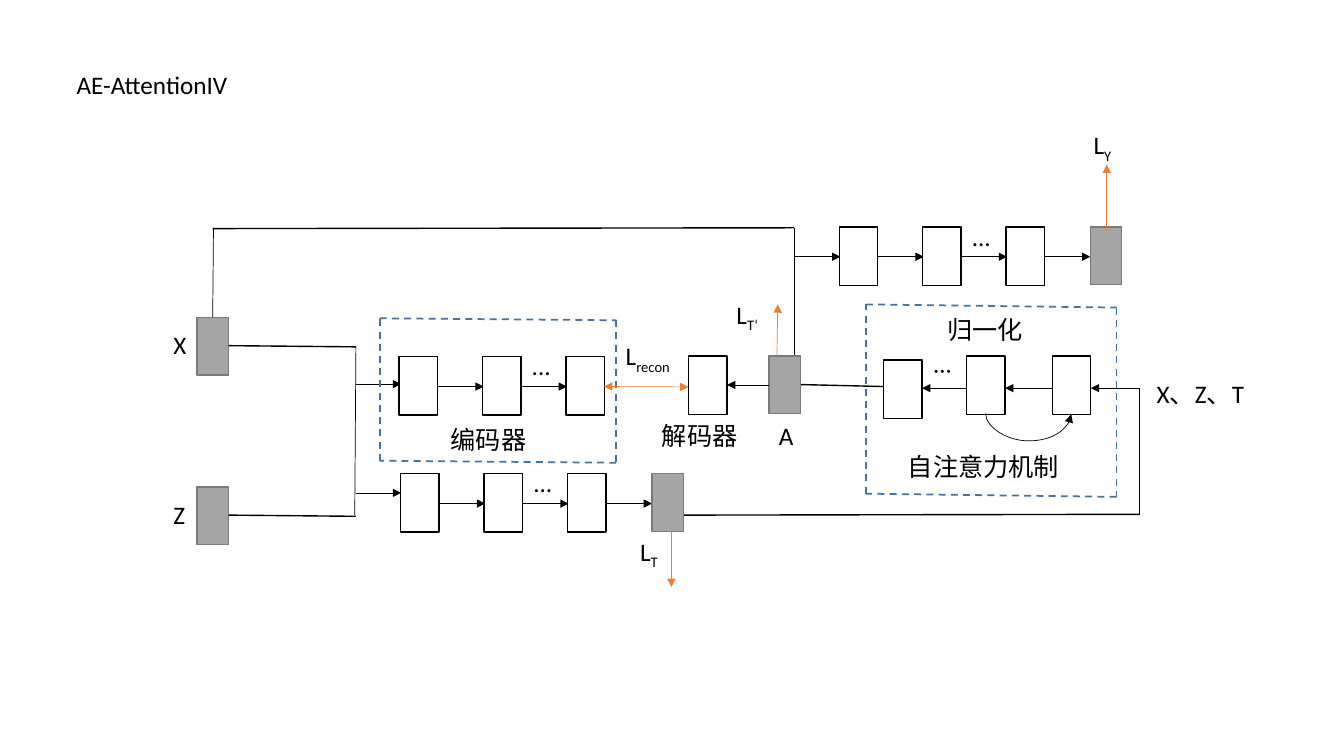
import pptx
import pptx.util
import pptx.dml.color
import pptx.enum.dml
import pptx.enum.shapes
import pptx.enum.text
import pptx.oxml
import pptx.oxml.ns

Cm = pptx.util.Cm
Pt = pptx.util.Pt
COLORS = {"black": "000000", "white": "FFFFFF", "gray": "A5A5A5",
          "edge": "7A7A7A", "loss": "ED7D31", "frame": "43739E"}
LAYER_W, LAYER_H = 0.97, 1.47
NODE_W, NODE_H = 0.79, 1.45
PITCH = 2.1


def rgb(name):
    """Return the palette colour with this name."""
    return pptx.dml.color.RGBColor.from_string(COLORS[name])


def add_text(s, x, y, w, text, sub="", size=18, color="black", font="Calibri", rotation=0):
    """Add a text box whose text may end in a subscript."""
    sp = s.shapes.add_textbox(Cm(x), Cm(y), Cm(w), Cm(1.03))
    sp.rotation = rotation
    tf = sp.text_frame
    tf.word_wrap = True
    p = tf.paragraphs[0]
    for part, baseline in ((text, 0), (sub, -25000)):
        if part:
            r = p.add_run()
            r.text = part
            r.font.name, r.font.size = font, Pt(size)
            r.font.color.rgb = rgb(color)
            if baseline:
                r._r.get_or_add_rPr().set("baseline", str(baseline))


def add_line(s, x1, y1, x2, y2, color="black", width=0.5, ends=(), dash=False, curved=False):
    """Add a connector with triangles on the listed ends."""
    kinds = pptx.enum.shapes.MSO_CONNECTOR
    kind = kinds.CURVE if curved else kinds.STRAIGHT
    sp = s.shapes.add_connector(kind, Cm(x1), Cm(y1), Cm(x2), Cm(y2))
    sp.line.color.rgb = rgb(color)
    sp.line.width = Pt(width)
    if dash:
        sp.line.dash_style = pptx.enum.dml.MSO_LINE.DASH
    ln = sp.line._get_or_add_ln()
    for end in ends:
        ln.append(pptx.oxml.parse_xml(
            f'<a:{end} {pptx.oxml.ns.nsdecls("a")} type="triangle"/>'))
    sp._element.spPr.append(pptx.oxml.parse_xml(
        f'<a:effectLst {pptx.oxml.ns.nsdecls("a")}/>'))
    return sp


def add_arrow(s, x1, y1, x2, y2, color="black"):
    """Add a thin arrow."""
    add_line(s, x1, y1, x2, y2, color, ends=("tailEnd",))


def add_box(s, x, y, w, h, fill, line):
    """Add a filled rectangle with a thin outline."""
    sp = s.shapes.add_shape(pptx.enum.shapes.MSO_SHAPE.RECTANGLE, Cm(x), Cm(y), Cm(w), Cm(h))
    sp.shadow.inherit = False
    sp.fill.solid()
    sp.fill.fore_color.rgb = rgb(fill)
    sp.line.color.rgb = rgb(line)
    sp.line.width = Pt(1)


def add_layer(s, x, y):
    """Add a white network layer."""
    add_box(s, x, y, LAYER_W, LAYER_H, "white", "black")


def add_node(s, x, y):
    """Add a gray variable node."""
    add_box(s, x, y, NODE_W, NODE_H, "gray", "edge")


def add_frame(s, x, y, w, h, tilt):
    """Add a dashed frame whose right side sits lower by the tilt."""
    corners = [(x, y), (x + w, y + tilt), (x + w, y + h + tilt), (x, y + h)]
    for a, b in zip(corners, corners[1:] + corners[:1]):
        add_line(s, *a, *b, color="frame", width=1.25, dash=True)


def add_stack(s, x, y, output=False):
    """Add three chained layers and, on request, an output node."""
    count = 3
    for i in range(count):
        left = x + i * PITCH
        add_layer(s, left, y)
        if i < count - 1 or output:
            add_arrow(s, left + LAYER_W, y + 0.75, left + PITCH + 0.03, y + 0.75)
    add_text(s, x + 3.09, y - 0.28, 1.12, "...")
    if output:
        add_node(s, x + count * PITCH + 0.03, y)


def add_inputs(s, x, y, w, h):
    """Add the X and Z inputs, their trunk and its two branches."""
    trunk = x + w
    for name, top in (("X", y), ("Z", y + h - NODE_H)):
        add_node(s, x + 0.85, top)
        add_text(s, x, top + 0.18, 0.85, name)
        add_line(s, x + 0.85 + NODE_W, top + 0.71, trunk, top + 0.74, width=1)
    add_line(s, trunk, y + 0.74, trunk - 0.03, y + h - 0.73)
    for top in (y + 1.68, y + 4.42):
        add_arrow(s, trunk, top, trunk + 1.14, top)


def add_encoder(s, x, y, w, h):
    """Add the framed encoder."""
    add_frame(s, x, y, w, h, 0.05)
    add_stack(s, x + 0.49, y + 0.97)
    add_text(s, x + 1.54, y + 2.55, 2.74, "编码器")


def add_decoder(s, x, y):
    """Add the decoder with its reconstruction loss and node A."""
    add_layer(s, x, y)
    add_line(s, x - 2.13, y + 0.77, x, y + 0.78, "loss", ends=("headEnd", "tailEnd"))
    add_text(s, x - 1.83, y - 0.51, 1.96, "L", "recon")
    add_text(s, x - 0.92, y + 1.5, 2.54, "解码器")
    node = x + 2.03
    add_node(s, node, y)
    add_text(s, node, y + 1.5, 0.91, "A")
    add_arrow(s, node, y + 0.73, x + LAYER_W, y + 0.73)
    add_arrow(s, node + 0.2, y, node + 0.22, y - 1.3, "loss")
    add_text(s, node - 1.07, y - 1.55, 1.19, "L", "T‘")


def add_treatment(s, x, y):
    """Add the treatment network and its loss."""
    add_stack(s, x, y, output=True)
    add_arrow(s, x + 6.82, y + NODE_H, x + 6.82, y + 2.85, "loss")
    add_text(s, x + 5.78, y + 1.45, 1.6, "L", "T")


def add_outcome(s, x, y):
    """Add the outcome network and its loss."""
    add_arrow(s, x - 1.14, y + 0.75, x + 0.03, y + 0.75)
    add_stack(s, x, y, output=True)
    add_arrow(s, x + 6.74, y + 0.08, x + 6.74, y - 1.57, "loss")
    add_text(s, x + 6.16, y - 2.58, 1.6, "L", "Y")


def add_attention(s, x, y, w, h):
    """Add the framed self-attention block and its X, Z, T input."""
    add_frame(s, x, y, w, h, 0.08)
    lefts = [x + 0.45, x + 2.54, x + 4.7]
    for left, drop in zip(lefts, (0.1, 0, 0)):
        add_layer(s, left, y + 1.3 + drop)
    for start, end in zip(lefts[1:] + [x + 6.88], lefts):
        add_arrow(s, start, y + 2.11, end + LAYER_W, y + 2.11)
    add_text(s, x + 1.3, y + 1.4, 1.12, "...", rotation=180)
    add_text(s, x + 1.8, y + 0.13, 2.9, "归一化")
    add_text(s, x + 0.81, y + 3.58, 4.67, "自注意力机制")
    add_text(s, x + 7.08, y + 1.73, 3.12, "X、Z、T")
    cx, cy = x + 4.1, y + 2.76
    sp = add_line(s, cx - 0.01, cy - 1.08, cx + 0.01, cy + 1.08, ends=("tailEnd",), curved=True)
    xfrm = sp._element.spPr.find(pptx.oxml.ns.qn("a:xfrm"))
    xfrm.set("rot", "5400000")
    xfrm.set("flipV", "1")
    guides = sp._element.spPr.find(pptx.oxml.ns.qn("a:prstGeom")).get_or_add_avLst()
    guides.append(pptx.oxml.parse_xml(
        f'<a:gd {pptx.oxml.ns.nsdecls("a")} name="adj1" fmla="val 3450000"/>'))


def add_wiring(s, x, y, w, h):
    """Add the long links between the blocks."""
    add_line(s, x, y + 0.02, x + 14.65, y, width=1)
    add_line(s, x + 0.02, y, x, y + 2.25)
    add_line(s, x + 14.65, y, x + 14.65, y + 3.24)
    add_line(s, x + 14.8, y + 3.95, x + 16.9, y + 4, width=1)
    add_line(s, x + w, y + 4.05, x + w, y + h)
    add_line(s, x + 11.87, y + h, x + w, y + h - 0.02, width=1)


def main():
    """Build the slide and save it."""
    prs = pptx.Presentation()
    prs.slide_width, prs.slide_height = Cm(33.87), Cm(19.05)
    s = prs.slides.add_slide(prs.slide_layouts[6])
    add_text(s, 1.68, 1.63, 4.65, "AE-AttentionIV")
    add_inputs(s, 4.12, 8, 4.85, 5.72)
    add_wiring(s, 5.36, 5.74, 23.35, 7.24)
    add_encoder(s, 9.57, 8.02, 5.96, 3.59)
    add_treatment(s, 10.1, 11.94)
    add_decoder(s, 17.35, 8.97)
    add_outcome(s, 21.15, 5.72)
    add_attention(s, 21.82, 7.67, 6.32, 4.77)
    prs.save("out.pptx")


if __name__ == "__main__":
    main()
